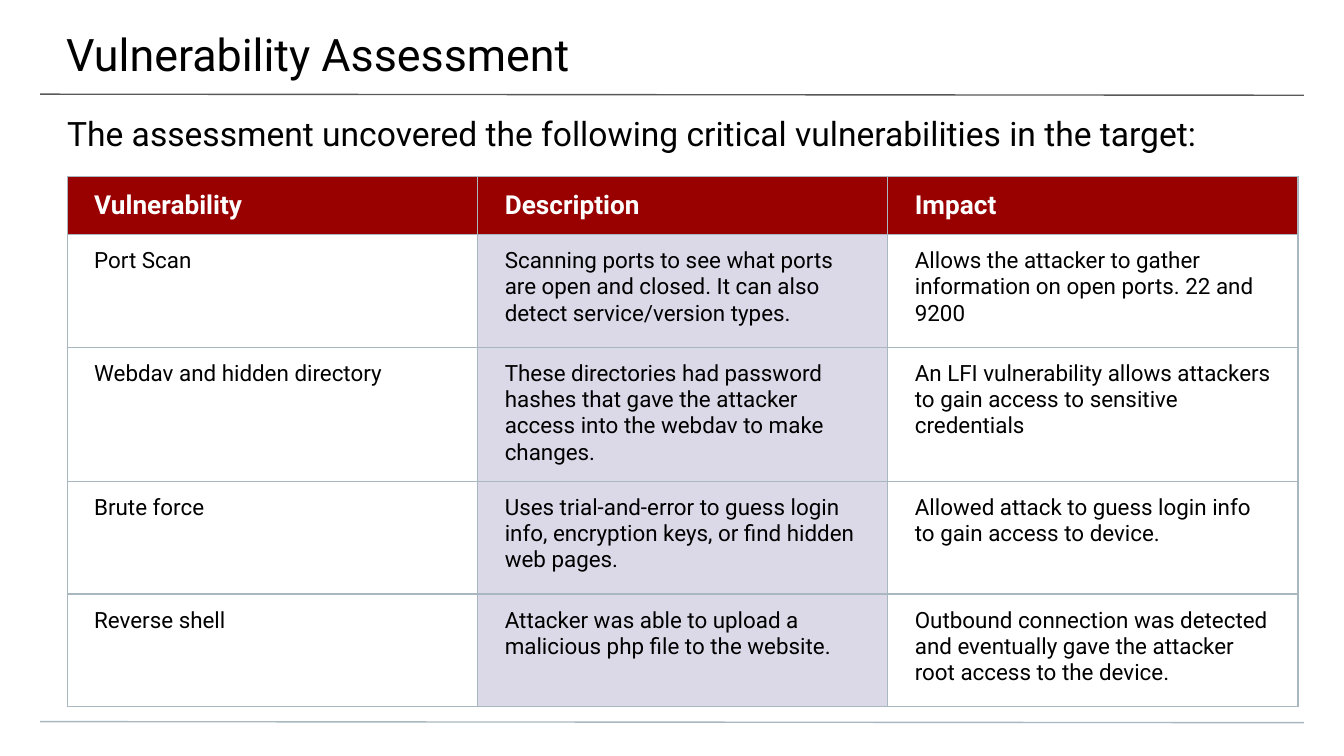
from dataclasses import dataclass

from lxml import etree
from pptx import Presentation
from pptx import util as u
from pptx.dml.color import RGBColor
from pptx.enum import shapes, text
from pptx.oxml import ns


@dataclass(frozen=True)
class Theme:
    """Colours, font and type sizes of the slide."""
    font: str = "Roboto"
    ink: str = "000000"
    white: str = "FFFFFF"
    header: str = "990000"
    accent: str = "DBD9E8"
    border: str = "A9B7C0"
    title_rule: str = "595959"
    title_size: int = 24
    lead_size: int = 18
    header_size: int = 14
    body_size: int = 12
    stroke: float = 0.75


THEME = Theme()
CELL_MARGINS = (0.51, 0.25, 0.51, 0.25)
COLUMN_WIDTHS = (7.76, 7.75, 7.75)
HEADER_HEIGHT, ROW_HEIGHT = 1.09, 2.13
FINDINGS = [
    ("Vulnerability", "Description", "Impact"),
    ("Port Scan",
     "Scanning ports to see what ports are open and closed. It can also detect service/version types.",
     "Allows the attacker to gather information on open ports. 22 and 9200"),
    ("Webdav and hidden directory",
     "These directories had password hashes that gave the attacker access into the webdav to make changes.",
     "An LFI vulnerability allows attackers to gain access to sensitive credentials"),
    ("Brute force",
     "Uses trial-and-error to guess login info, encryption keys, or find hidden web pages.",
     "Allowed attack to guess login info to gain access to device."),
    ("Reverse shell",
     "Attacker was able to upload a malicious php file to the website.",
     "Outbound connection was detected and eventually gave the attacker root access to the device."),
]


def apply_format(target, values):
    """Set each named attribute of the target."""
    for name, value in values.items():
        setattr(target, name, value)


def margins(left, top, right, bottom):
    """Return margin attributes for lengths in centimetres."""
    return {"margin_left": u.Cm(left), "margin_top": u.Cm(top),
            "margin_right": u.Cm(right), "margin_bottom": u.Cm(bottom)}


def write_text(frame, words, size, colour, bold=False):
    """Write one styled paragraph into a text frame."""
    paragraph = frame.paragraphs[0]
    run = paragraph.add_run()
    run.text = words
    apply_format(run.font, {"name": THEME.font, "size": u.Pt(size), "bold": bold})
    run.font.color.rgb = RGBColor.from_string(colour)


def add_heading(slide, box, words, size, insets):
    """Place a line of heading text in the box."""
    frame = slide.shapes.add_textbox(*map(u.Cm, box)).text_frame
    apply_format(frame, {"word_wrap": True, "vertical_anchor": text.MSO_ANCHOR.TOP,
                         **margins(*insets)})
    write_text(frame, words, size, THEME.ink)


def add_rule(slide, box, colour):
    """Draw a thin rule across the box from corner to corner."""
    left, top, width, height = box
    rule = slide.shapes.add_connector(
        shapes.MSO_CONNECTOR.STRAIGHT,
        *map(u.Cm, (left, top, left + width, top + height)))
    rule.line.color.rgb = RGBColor.from_string(colour)
    rule.line.width = u.Pt(THEME.stroke)
    etree.SubElement(rule._element.spPr, ns.qn("a:effectLst"))


def add_borders(cell):
    """Outline a table cell on all four sides."""
    properties = cell._tc.get_or_add_tcPr()
    for index, side in enumerate(("lnL", "lnR", "lnT", "lnB")):
        edge = etree.Element(ns.qn(f"a:{side}"), w=str(u.Pt(THEME.stroke)))
        fill = etree.SubElement(edge, ns.qn("a:solidFill"))
        etree.SubElement(fill, ns.qn("a:srgbClr"), val=THEME.border)
        properties.insert(index, edge)


def fill_cell(cell, colour):
    """Fill a cell with a colour, or leave it clear."""
    if colour:
        cell.fill.solid()
        cell.fill.fore_color.rgb = RGBColor.from_string(colour)
    else:
        cell.fill.background()


def add_findings(slide, box, findings):
    """Place the table of findings in the box."""
    table = slide.shapes.add_table(
        len(findings), len(COLUMN_WIDTHS), *map(u.Cm, box)).table
    apply_format(table, {"first_row": False, "horz_banding": False})
    for column, width in zip(table.columns, COLUMN_WIDTHS):
        column.width = u.Cm(width)
    for row_index, finding in enumerate(findings):
        is_header = row_index == 0
        table.rows[row_index].height = u.Cm(HEADER_HEIGHT if is_header else ROW_HEIGHT)
        for column_index, words in enumerate(finding):
            cell = table.cell(row_index, column_index)
            apply_format(cell, margins(*CELL_MARGINS))
            if is_header:
                cell.vertical_anchor = text.MSO_ANCHOR.MIDDLE
                fill_cell(cell, THEME.header)
                write_text(cell.text_frame, words, THEME.header_size, THEME.white, True)
            else:
                cell.vertical_anchor = text.MSO_ANCHOR.TOP
                fill_cell(cell, THEME.accent if column_index == 1 else None)
                write_text(cell.text_frame, words, THEME.body_size, THEME.ink)
            add_borders(cell)


def build_assessment(slide):
    """Lay out the rules, headings and findings."""
    add_rule(slide, (0.76, 1.78, 23.88, 0.02), THEME.title_rule)
    add_rule(slide, (0.76, 13.64, 23.88, 0.02), THEME.border)
    add_heading(slide, (-0.02, 0, 25.47, 1.48), "Vulnerability Assessment",
                THEME.title_size, (1.27, 0.51, 0.76, 0.25))
    add_heading(slide, (0, 1.88, 25.4, 1.02),
                "The assessment uncovered the following critical vulnerabilities in the target:",
                THEME.lead_size, (1.27, 0.25, 1.27, 0))
    table_height = HEADER_HEIGHT + ROW_HEIGHT * (len(FINDINGS) - 1)
    add_findings(slide, (1.27, 3.34, sum(COLUMN_WIDTHS), table_height), FINDINGS)


def main():
    """Build and save the presentation."""
    deck = Presentation()
    apply_format(deck, {"slide_width": u.Cm(25.4), "slide_height": u.Cm(14.29)})
    build_assessment(deck.slides.add_slide(deck.slide_layouts[6]))
    deck.save("out.pptx")


if __name__ == "__main__":
    main()
